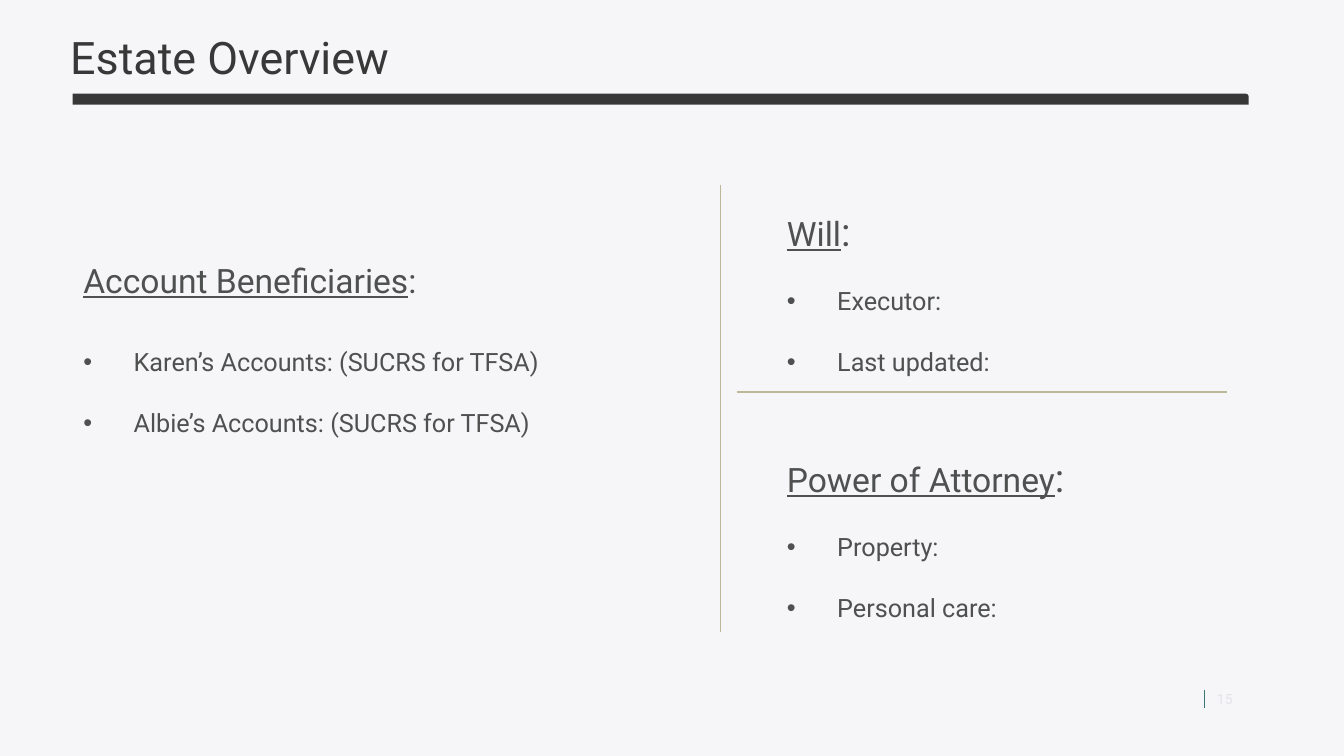
"""Build the estate overview slide."""
from dataclasses import dataclass

from lxml.etree import SubElement
from pptx import Presentation
from pptx.dml.color import RGBColor
from pptx.enum.shapes import MSO_CONNECTOR as Connector, MSO_SHAPE as Shape
from pptx.enum.text import MSO_ANCHOR as Anchor
from pptx.oxml.ns import qn
from pptx.slide import Slide
from pptx.text.text import TextFrame
from pptx.util import Cm, Pt

FONT = "Roboto"
PAPER = RGBColor(0xF6, 0xF5, 0xF7)
BLACK = RGBColor(0x0C, 0x0C, 0x0C)
CHARCOAL = RGBColor(0x38, 0x38, 0x38)
SLATE = RGBColor(0x4F, 0x51, 0x51)
SAND = RGBColor(0xBD, 0xB8, 0x98)
TEAL = RGBColor(0x3B, 0x76, 0x76)
PALE = RGBColor(0xE4, 0xE4, 0xE8)
BULLET_INDENT = Cm(1.27)
BULLET_GAP = 22


@dataclass
class Section:
    heading: str
    items: list[str]
    left: float
    top: float
    width: float
    height: float
    colon_size: int = 28
    first_gap: int = BULLET_GAP


@dataclass
class Rule:
    start: tuple[float, float]
    end: tuple[float, float]
    color: RGBColor = SAND
    weight: float = 1


SECTIONS = [
    Section("Account Beneficiaries",
            ["Karen’s Accounts: (SUCRS for TFSA)", "Albie’s Accounts: (SUCRS for TFSA)"],
            1.85, 6.43, 15.67, 4.78, colon_size=24, first_gap=33),
    Section("Will", ["Executor:", "Last updated:"], 19.58, 5.11, 11.91, 4.52),
    Section("Power of Attorney", ["Property:", "Personal care:"], 19.58, 11.3, 12.24, 4.52),
]
RULES = [
    Rule((18.16, 4.65), (18.16, 15.93)),
    Rule((18.57, 9.88), (30.91, 9.88)),
    Rule((30.35, 17.4), (30.35, 17.83), TEAL, 0.5),
]


def add_frame(page: Slide, left: float, top: float, width: float, height: float) -> TextFrame:
    """Add a wrapping text box and return its frame."""
    box = page.shapes.add_textbox(Cm(left), Cm(top), Cm(width), Cm(height))
    box.text_frame.word_wrap = True
    return box.text_frame


def add_label(frame: TextFrame, text: str, size: int, color: RGBColor) -> None:
    """Fill a frame with one vertically centred line."""
    frame.vertical_anchor = Anchor.MIDDLE
    para = frame.paragraphs[0]
    para.text = text
    para.font.name, para.font.size = FONT, Pt(size)
    para.font.color.rgb = color


def add_section(page: Slide, section: Section) -> None:
    """Add an underlined heading with its bullets."""
    frame = add_frame(page, section.left, section.top, section.width, section.height)
    heading = frame.paragraphs[0]
    for text, size, underline in ((section.heading, 24, True), (":", section.colon_size, False)):
        span = heading.add_run()
        span.text = text
        span.font.size, span.font.underline = Pt(size), underline
    for index, item in enumerate(section.items):
        para = frame.add_paragraph()
        para.text = item
        para.space_before = Pt(BULLET_GAP if index else section.first_gap)
        properties = para._p.get_or_add_pPr()
        properties.set("marL", str(BULLET_INDENT))
        properties.set("indent", str(-BULLET_INDENT))
        SubElement(properties, qn("a:buFont"), typeface="Arial")
        SubElement(properties, qn("a:buChar"), char="•")
        para.font.size = Pt(18)
    for para in frame.paragraphs:
        para.font.name = FONT
        para.font.color.rgb = SLATE


def add_rule(page: Slide, rule: Rule) -> None:
    """Add a straight line without a shadow."""
    line = page.shapes.add_connector(
        Connector.STRAIGHT, *map(Cm, rule.start), *map(Cm, rule.end))
    line.line.color.rgb = rule.color
    line.line.width = Pt(rule.weight)
    SubElement(line._element.spPr, qn("a:effectLst"))


def add_title_bar(page: Slide) -> None:
    """Add the translucent bar below the title."""
    bar = page.shapes.add_shape(
        Shape.ROUND_1_RECTANGLE, Cm(1.83), Cm(2.36), Cm(29.64), Cm(0.28))
    bar.adjustments[0] = 0.3
    bar.shadow.inherit = False
    bar.line.fill.background()
    bar.fill.solid()
    bar.fill.fore_color.rgb = BLACK
    color = bar._element.spPr.find(qn("a:solidFill")).find(qn("a:srgbClr"))
    SubElement(color, qn("a:alpha"), val="81000")


def main() -> None:
    """Draw the slide and save the deck."""
    deck = Presentation()
    deck.slide_width, deck.slide_height = Cm(33.87), Cm(19.05)
    page = deck.slides.add_slide(deck.slide_layouts[6])
    page.background.fill.solid()
    page.background.fill.fore_color.rgb = PAPER

    title = add_frame(page, 1.52, 0.81, 29.21, 1.55)
    add_label(title, "Estate Overview", 32, CHARCOAL)
    title.paragraphs[0].line_spacing = 0.7
    add_title_bar(page)
    for section in SECTIONS:
        add_section(page, section)
    for rule in RULES:
        add_rule(page, rule)
    number = add_frame(page, 30.42, 17.1, 1.2, 1.04)
    add_label(number, "15", 10, PALE)
    deck.save("out.pptx")


if __name__ == "__main__":
    main()
